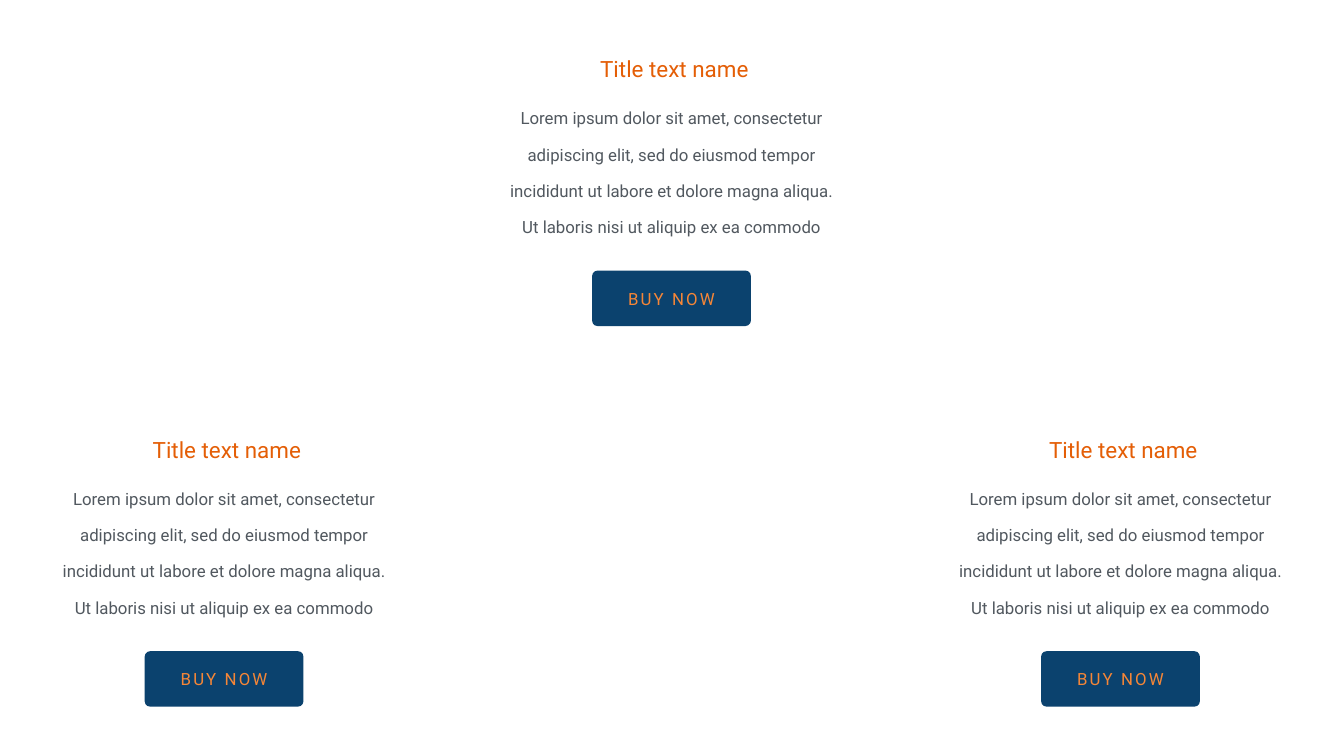
import pptx
import pptx.dml.color
import pptx.enum.shapes
import pptx.enum.text
import pptx.util

Pt = pptx.util.Pt
COLORS = {"background": "FFFFFF", "title": "E45E06", "body": "51585F",
          "button": "0B426E", "label": "F58637"}
FONT = "Roboto"
BODY = ("Lorem ipsum dolor sit amet, consectetur adipiscing elit, sed do eiusmod tempor "
        "incididunt ut labore et dolore magna aliqua. Ut laboris nisi ut aliquip ex ea commodo")
CARD_W, CARD_H = 491.8, 389.5
CARDS = [(713.5, 76.3), (74.2, 620), (1355, 620)]


def rgb(name):
    """Return the named palette colour."""
    return pptx.dml.color.RGBColor.from_string(COLORS[name])


def add_text(shapes, box, text, size, color, inset=None, grow=False):
    """Add a centred text box and return its text frame."""
    tf = shapes.add_textbox(*map(Pt, box)).text_frame
    tf.word_wrap = True
    if inset is not None:
        tf.margin_left = tf.margin_right = tf.margin_top = tf.margin_bottom = Pt(inset)
    if grow:
        tf.auto_size = pptx.enum.text.MSO_AUTO_SIZE.SHAPE_TO_FIT_TEXT
    p = tf.paragraphs[0]
    p.alignment = pptx.enum.text.PP_ALIGN.CENTER
    p.add_run().text = text
    p.font.name = FONT
    p.font.size = Pt(size)
    p.font.color.rgb = rgb(color)
    return tf


def add_button(shapes, left, top, width, height):
    """Draw the rounded button with its letter-spaced label."""
    sp = shapes.add_shape(pptx.enum.shapes.MSO_SHAPE.ROUNDED_RECTANGLE,
                          Pt(left), Pt(top), Pt(width), Pt(height))
    sp.adjustments[0] = 0.097
    sp.shadow.inherit = False
    sp.fill.solid()
    sp.fill.fore_color.rgb = rgb("button")
    sp.line.fill.background()
    label_h = 35.3
    box = (left, top + (height - label_h) / 2, width, label_h)
    tf = add_text(shapes, box, "BUY NOW", 24, "label", inset=3, grow=True)
    tf.vertical_anchor = pptx.enum.text.MSO_ANCHOR.MIDDLE
    tf.paragraphs[0].runs[0].font._element.set("spc", "300")


def add_card(slide, left, top, width, height):
    """Group a title, a paragraph and a button in the given box."""
    shapes = slide.shapes.add_group_shape().shapes
    title_w, button_w, button_h = 363.6, 226.8, 79.2
    title_left = left + (width - title_w) / 2 + 4.1
    add_text(shapes, (title_left, top, title_w, 42.5), "Title text name", 32, "title", inset=3)
    tf = add_text(shapes, (left, top + 51.4, width, 216.7), BODY, 24, "body", grow=True)
    tf.paragraphs[0].line_spacing = 1.8
    add_button(shapes, left + (width - button_w) / 2, top + height - button_h,
               button_w, button_h)


def main():
    """Build the slide of three cards."""
    prs = pptx.Presentation()
    prs.slide_width, prs.slide_height = Pt(1920.24), Pt(1080)
    s = prs.slides.add_slide(prs.slide_layouts[6])
    s.background.fill.solid()
    s.background.fill.fore_color.rgb = rgb("background")
    for left, top in CARDS:
        add_card(s, left, top, CARD_W, CARD_H)
    prs.save("out.pptx")


if __name__ == "__main__":
    main()
